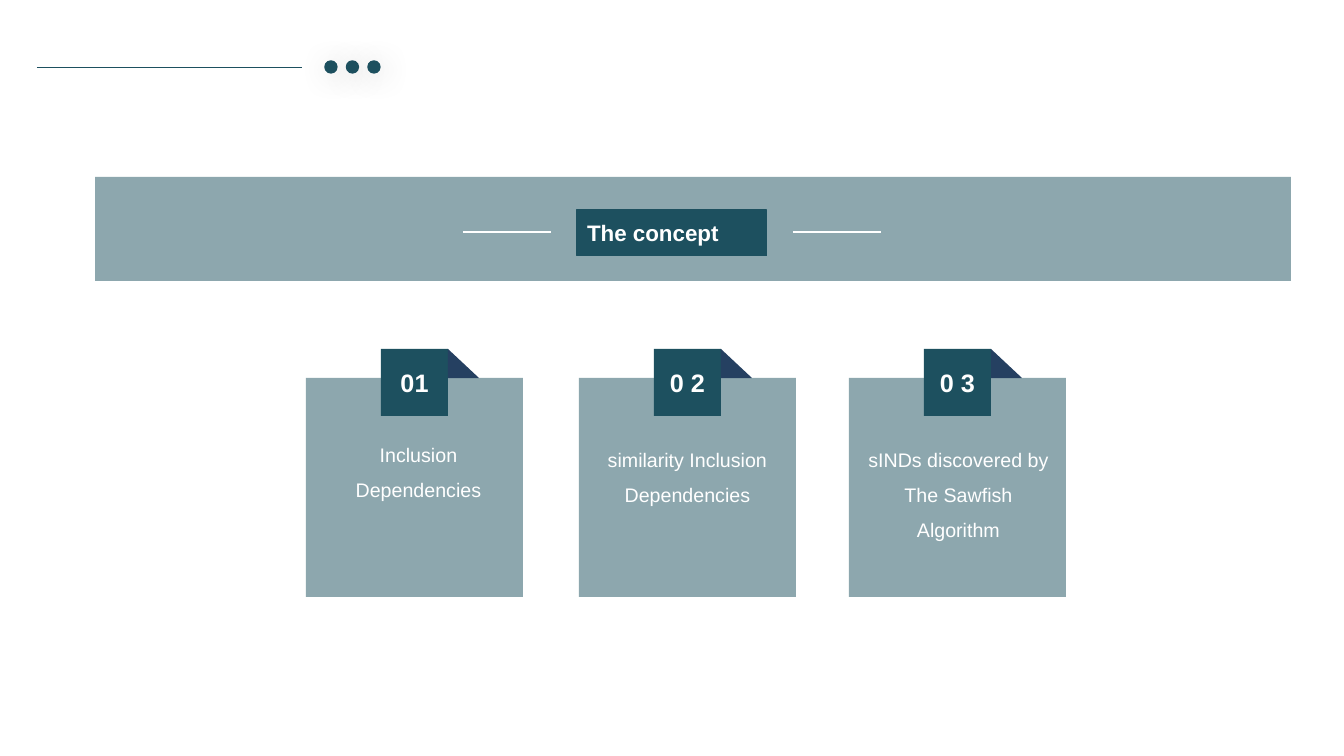
from dataclasses import dataclass

from lxml import etree
from pptx import Presentation
from pptx import util as u
from pptx.dml.color import RGBColor
from pptx.enum import shapes, text
from pptx.oxml import ns

PX = 914400 / 100.8


@dataclass(frozen=True)
class Theme:
    teal: RGBColor = RGBColor(0x1D, 0x50, 0x5F)
    navy: RGBColor = RGBColor(0x25, 0x40, 0x61)
    white: RGBColor = RGBColor(0xFF, 0xFF, 0xFF)
    font: str = "Arial"
    head: int = 16
    num: int = 18
    body: int = 14
    gap: int = 1


look = Theme()


def box(kind, x, y, w, h, alpha=100):
    """Add a teal preset shape without outline, at an opacity in percent."""
    item = page.shapes.add_shape(kind, *[round(n * PX) for n in (x, y, w, h)])
    item.shadow.inherit = False
    item.fill.solid()
    item.fill.fore_color.rgb = look.teal
    item.line.fill.background()
    if alpha < 100:
        tint = item.fill._xPr.find(".//" + ns.qn("a:srgbClr"))
        etree.SubElement(tint, ns.qn("a:alpha"), val=str(alpha * 1000))
    return item


def write(para, words, size, bold=False):
    run = para.add_run()
    run.text = words
    run.font.name = look.font
    run.font.size = u.Pt(size)
    run.font.bold = bold
    run.font.color.rgb = look.white


deck = Presentation()
deck.slide_width = round(1344 * PX)
deck.slide_height = round(756 * PX)
page = deck.slides.add_slide(deck.slide_layouts[5])
rect = shapes.MSO_SHAPE.RECTANGLE

# Banner with its heading
box(rect, 95, 177, 1196, 104, 50)
title = page.shapes.title
title.left, title.top, title.width, title.height = [
    round(n * PX) for n in (577, 210, 190, 46)]
title.fill.solid()
title.fill.fore_color.rgb = look.teal
title.line.color.rgb = look.teal
title.line.width = u.Pt(0.75)
frame = title.text_frame
frame.auto_size = text.MSO_AUTO_SIZE.NONE
frame.vertical_anchor = text.MSO_ANCHOR.MIDDLE
frame.paragraphs[0].alignment = text.PP_ALIGN.JUSTIFY
write(frame.paragraphs[0], "The concept", look.head, True)
page.shapes._spTree.append(title._element)

# Rules beside the heading and at the top left
rules = [
    (463, 551, 232, look.white, 2),
    (793, 881, 232, look.white, 2),
    (37, 302, 67, look.teal, 0.5),
]
for start, end, y, color, width in rules:
    rule = page.shapes.add_connector(
        shapes.MSO_CONNECTOR.STRAIGHT,
        *[round(n * PX) for n in (start, y, end, y)])
    rule.line.color.rgb = color
    rule.line.width = u.Pt(width)
    etree.SubElement(rule._element.spPr, ns.qn("a:effectLst"))

# Dots with a soft shadow
for i in range(3):
    dot = box(shapes.MSO_SHAPE.OVAL, 325 + 43 * i / 2, 61, 12, 12)
    dot.line.color.rgb = look.teal
    dot.line.width = u.Pt(1)
    glow = etree.SubElement(
        dot._element.spPr.find(ns.qn("a:effectLst")), ns.qn("a:outerShdw"),
        blurRad=str(u.Pt(22)), dist=str(u.Pt(3)), dir=str(45 * 60000),
        algn="ctr", rotWithShape="0")
    shade = etree.SubElement(glow, ns.qn("a:srgbClr"), val="000000")
    etree.SubElement(shade, ns.qn("a:alpha"), val="22000")

# Numbered cards: left, number runs, text left, text top, text height, wording
cards = [
    (306, [("0", look.num), (" ", look.gap), ("1", look.num)],
     316, 426, 82, "Inclusion Dependencies"),
    (579, [("0 2", look.num)],
     585, 431, 82, "similarity Inclusion Dependencies"),
    (849, [("0 3", look.num)],
     856, 431, 117, "sINDs discovered by The Sawfish Algorithm"),
]
for left, parts, x, y, h, words in cards:
    box(rect, left, 378, 217, 219, 50)

    tile = box(rect, left + 75, 349, 67, 67)
    frame = tile.text_frame
    frame.vertical_anchor = text.MSO_ANCHOR.MIDDLE
    frame.paragraphs[0].alignment = text.PP_ALIGN.CENTER
    for part, size in parts:
        write(frame.paragraphs[0], part, size, True)

    edge = left + 142
    path = page.shapes.build_freeform(edge, 349, scale=PX)
    path.add_line_segments([(edge, 378), (edge + 31, 378)], close=True)
    fold = path.convert_to_shape()
    fold.shadow.inherit = False
    fold.fill.solid()
    fold.fill.fore_color.rgb = look.navy
    fold.line.fill.background()

    note = page.shapes.add_textbox(*[round(n * PX) for n in (x, y, 205, h)])
    frame = note.text_frame
    frame.word_wrap = True
    frame.auto_size = text.MSO_AUTO_SIZE.SHAPE_TO_FIT_TEXT
    para = frame.paragraphs[0]
    para.alignment = text.PP_ALIGN.CENTER
    para.line_spacing = 1.5
    write(para, words, look.body)

deck.save("out.pptx")
